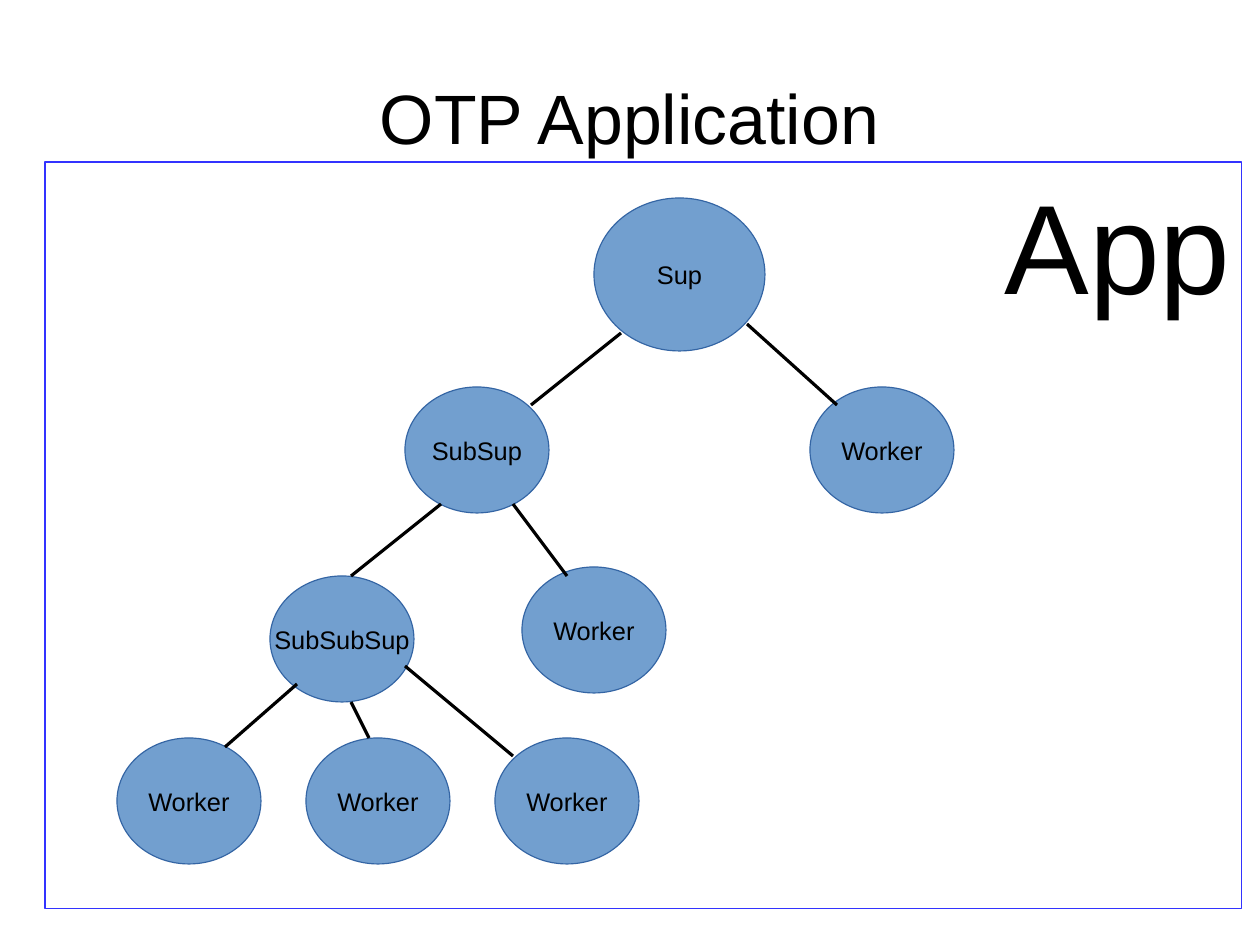
from pptx import Presentation
from pptx.dml.color import RGBColor
from pptx.enum.shapes import MSO_CONNECTOR as Conn, MSO_SHAPE as Form
from pptx.enum.text import MSO_ANCHOR as Anchor, PP_ALIGN as Align
from pptx.oxml.ns import qn
from pptx.util import Cm, Pt
from lxml.etree import SubElement

BLACK = RGBColor(0x00, 0x00, 0x00)
WHITE = RGBColor(0xFF, 0xFF, 0xFF)
SKY = RGBColor(0x72, 0x9F, 0xCF)
NAVY = RGBColor(0x34, 0x65, 0xA4)
BLUE = RGBColor(0x33, 0x33, 0xFF)

COLS, ROWS = 140, 105
UNIT = Cm(0.2)
TITLE = (7, 4.2, 126, 17.5)
FRAME = (5, 18, 133, 83)
LARGE, SMALL = (19, 17), (16, 14)

NODES = [
    ("Sup", 61, 4, LARGE),
    ("SubSup", 40, 25, SMALL),
    ("Worker", 85, 25, SMALL),
    ("SubSubSup", 25, 46, SMALL),
    ("Worker", 53, 45, SMALL),
    ("Worker", 8, 64, SMALL),
    ("Worker", 29, 64, SMALL),
    ("Worker", 50, 64, SMALL),
]
LINKS = [
    (64, 19, 54, 27),
    (78, 18, 88, 27),
    (44, 38, 34, 46),
    (52, 38, 58, 46),
    (28, 58, 20, 65),
    (34, 60, 36, 64),
    (40, 56, 52, 66),
]


def grid(*cells):
    return [round(cell * UNIT) for cell in cells]


def write(shape, text, size, align, anchor, wrap):
    frame = shape.text_frame
    frame.word_wrap = wrap
    frame.vertical_anchor = anchor
    para = frame.paragraphs[0]
    para.alignment = align
    run = para.add_run()
    run.text = text
    run.font.name = "Arial"
    run.font.size = Pt(size)
    run.font.color.rgb = BLACK


def draw(slide, form, box, fill, edge):
    shape = slide.shapes.add_shape(form, *grid(*box))
    shape.shadow.inherit = False
    shape.fill.solid()
    shape.fill.fore_color.rgb = fill
    shape.line.color.rgb = edge
    shape.line.width = Pt(0)
    return shape


def add_title(slide, box):
    title = slide.shapes.add_textbox(*grid(*box))
    frame = title.text_frame
    frame.margin_left = frame.margin_right = 0
    frame.margin_top = frame.margin_bottom = 0
    write(title, "OTP Application", 44, Align.CENTER, Anchor.MIDDLE, True)


def add_app(slide, box):
    app = draw(slide, Form.RECTANGLE, box, WHITE, BLUE)
    tint = app.fill._xPr.find(qn("a:solidFill"))[0]
    SubElement(tint, qn("a:alpha"), val="50000")
    write(app, "App", 80, Align.RIGHT, Anchor.TOP, True)


def add_tree(slide, box):
    left, top = box[:2]
    for name, x, y, size in NODES:
        node = draw(slide, Form.OVAL, (left + x, top + y, *size), SKY, NAVY)
        write(node, name, 16, Align.CENTER, Anchor.MIDDLE, False)
    for x1, y1, x2, y2 in LINKS:
        ends = grid(left + x1, top + y1, left + x2, top + y2)
        link = slide.shapes.add_connector(Conn.STRAIGHT, *ends)
        link.line.color.rgb = BLACK
        link.line.width = Pt(0)
        SubElement(link._element.spPr, qn("a:effectLst"))


def main():
    deck = Presentation()
    deck.slide_width, deck.slide_height = grid(COLS, ROWS)
    slide = deck.slides.add_slide(deck.slide_layouts[6])
    add_app(slide, FRAME)
    add_title(slide, TITLE)
    add_tree(slide, FRAME)
    deck.save("out.pptx")


if __name__ == "__main__":
    main()
